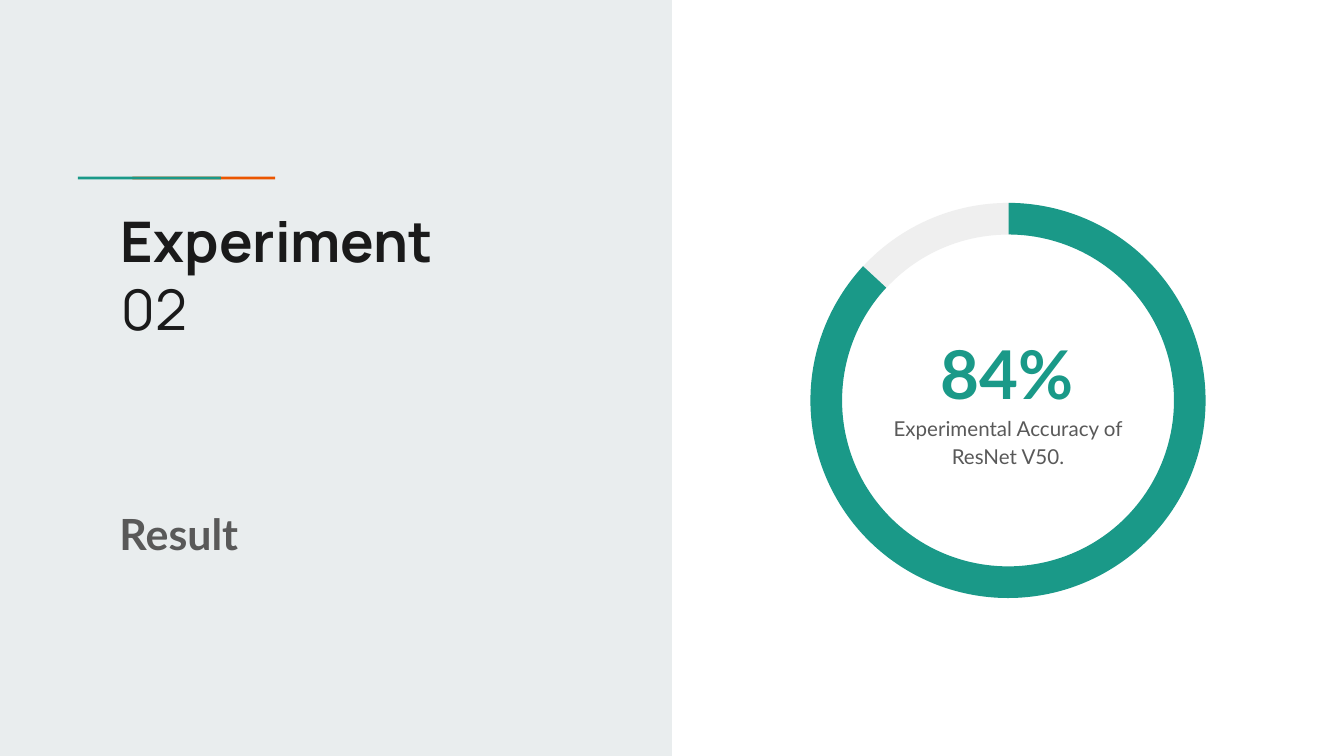
from pptx import Presentation
from pptx.dml.color import RGBColor
from pptx.enum.shapes import MSO_SHAPE as Shape
from pptx.enum.text import MSO_ANCHOR as Anchor, MSO_AUTO_SIZE as AutoSize, PP_ALIGN as Align
from pptx.util import Pt

TEAL, ORANGE, PANEL, TRACK = "1A9988", "EB5600", "E9EDEE", "EFEFEF"
INK, GREY = "1A1A1A", "595959"

presentation = Presentation()
presentation.slide_width, presentation.slide_height = Pt(720), Pt(405)
slide = presentation.slides.add_slide(presentation.slide_layouts[5])


def add_filled(kind, left, top, width, height, color):
    shape = slide.shapes.add_shape(kind, Pt(left), Pt(top), Pt(width), Pt(height))
    shape.shadow.inherit = False
    shape.fill.solid()
    shape.fill.fore_color.rgb = RGBColor.from_string(color)
    shape.line.fill.background()
    return shape


def write(shape, lines, size, font, color, align=Align.LEFT, spacing=1.0, after=0):
    """Fill a text shape with one paragraph per (text, bold) pair."""
    frame = shape.text_frame
    frame.word_wrap = True
    frame.auto_size = AutoSize.NONE
    frame.vertical_anchor = Anchor.TOP
    frame.margin_left = frame.margin_right = Pt(7.2)
    frame.margin_top = frame.margin_bottom = Pt(7.2)
    for index, (text, bold) in enumerate(lines):
        paragraph = frame.add_paragraph() if index else frame.paragraphs[0]
        paragraph.alignment = align
        paragraph.line_spacing = spacing
        paragraph.space_before, paragraph.space_after = Pt(0), Pt(after)
        run = paragraph.add_run()
        run.text = text
        run.font.size, run.font.name, run.font.bold = Pt(size), font, bold
        run.font.color.rgb = RGBColor.from_string(color)


# Left panel with the two-colour accent rule
add_filled(Shape.RECTANGLE, 0, 0, 360, 405, PANEL)
for left, color in ((70.9, ORANGE), (41.8, TEAL)):
    add_filled(Shape.RECTANGLE, left, 94.6, 76.6, 1.6, color)

# Progress ring: blockArc angles are stored as 0.6 per degree
for start, end, rotation, color in ((43.8, 98.01, 176.5, TRACK), (270.18, 222.79, 0, TEAL)):
    arc = add_filled(Shape.BLOCK_ARC, 434.2, 108.7, 211.7, 211.7, color)
    arc.rotation = rotation
    for index, value in enumerate((start * 0.6, end * 0.6, 0.08)):
        arc.adjustments[index] = value

# Title, moved in front of the panel
title = slide.shapes.title
title.left, title.top, title.width, title.height = Pt(57.6), Pt(103.7), Pt(260), Pt(133.2)
title.element.getparent().append(title.element)
write(title, [("Experiment", True), ("02", False)], 30, "Manrope", INK)

# Subtitle, ring figure and ring caption
for box, text, bold, size, color, align, after in (
    ((56.9, 260.6, 242, 59.8), "Result", True, 23, GREY, Align.LEFT, 10),
    ((475.2, 164.2, 128.9, 50.4), "84%", True, 36, TEAL, Align.CENTER, 0),
    ((463, 213.8, 154.1, 59.8), "Experimental Accuracy of ResNet V50.", False, 11, GREY, Align.CENTER, 16),
):
    text_box = slide.shapes.add_textbox(*map(Pt, box))
    write(text_box, [(text, bold)], size, "Lato", color, align, 1.15, after)

presentation.save("out.pptx")
